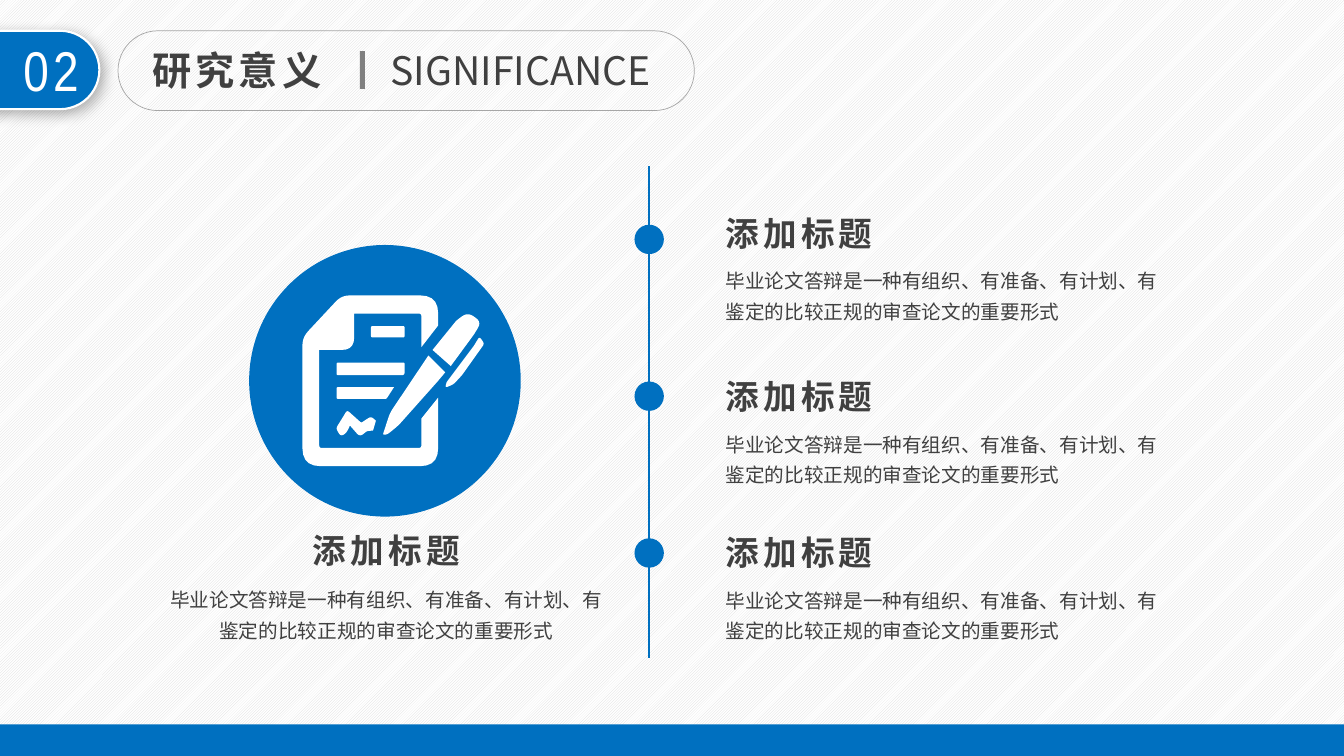
from dataclasses import dataclass

from lxml import etree
from pptx import Presentation
from pptx.dml.color import RGBColor as RGB
from pptx.enum.dml import MSO_PATTERN
from pptx.enum.shapes import MSO_CONNECTOR, MSO_SHAPE as SHAPE
from pptx.enum.text import MSO_ANCHOR as ANCHOR, PP_ALIGN as ALIGN
from pptx.oxml import parse_xml
from pptx.oxml.ns import nsdecls, qn
from pptx.util import Pt


@dataclass(frozen=True)
class Theme:
    blue: RGB = RGB(0x00, 0x70, 0xC0)
    white: RGB = RGB(0xFF, 0xFF, 0xFF)
    ink: RGB = RGB(0x40, 0x40, 0x40)
    bar: RGB = RGB(0x80, 0x80, 0x80)
    outline: RGB = RGB(0xA6, 0xA6, 0xA6)
    hatch: RGB = RGB(0xD9, 0xD9, 0xD9)
    cjk: str = "Noto Sans CJK SC"
    latin: str = "Arial"
    narrow: str = "Arial Narrow"
    number: int = 40
    title: int = 28
    heading: int = 24
    body: int = 14


T = Theme()
W, H = 960, 540
HEADING = "添加标题"
BODY = "毕业论文答辩是一种有组织、有准备、有计划、有鉴定的比较正规的审查论文的重要形式"

# Icon outlines in points: x, y and corner radius
ICON = [
    [(0, 122, 13), (97, 122, 13), (97, 73, 0), (85, 88, 0), (85, 109, 2),
     (12, 109, 2), (12, 39, 0), (37, 39, 9), (37, 13, 0), (85, 13, 2),
     (85, 37, 0), (97, 21.5, 0), (97, 0, 13), (28, 0, 6), (0, 30, 6)],
    [(49, 22, 1), (73, 22, 1), (73, 30, 1), (49, 30, 1)],
    [(24.5, 48, 1), (73, 48, 1), (73, 57, 2), (24.5, 57, 1)],
    [(24.5, 65.5, 1), (65.5, 65.5, 0), (60, 74, 1), (24.5, 74, 1)],
    [(32, 82, 2), (42, 91, 1), (49, 86.5, 2), (52.5, 89.5, 0), (50.5, 96.5, 0),
     (46, 97, 1), (41, 101, 3), (34, 93, 0), (31.5, 98, 2), (27.5, 101, 3),
     (24, 95, 2)],
    [(90, 43, 0), (102, 55, 0), (97, 61, 2), (68.5, 93, 4), (60.5, 99.5, 2),
     (57.5, 99.5, 1), (62.5, 84, 4)],
    [(126.5, 29.5, 2), (130, 34.5, 2), (114, 57, 2), (108, 63.5, 2),
     (102, 66, 2), (103, 62, 1), (122.5, 36, 0)],
    [(118, 12, 5), (128, 19, 5), (122.5, 28, 2), (106, 50.5, 0), (93, 39, 0),
     (110, 18, 2)],
]


def style(shape, fill=None, line=None, width=0.5):
    shape.shadow.inherit = False
    if fill is None:
        shape.fill.background()
    else:
        shape.fill.solid()
        shape.fill.fore_color.rgb = fill
    if line is None:
        shape.line.fill.background()
    else:
        shape.line.color.rgb = line
        shape.line.width = Pt(width)
    return shape


def add_box(s, kind, x, y, w, h, **look):
    sp = s.shapes.add_shape(kind, Pt(x), Pt(y), Pt(w), Pt(h))
    if kind == SHAPE.ROUNDED_RECTANGLE:
        sp.adjustments[0] = 0.5
    return style(sp, **look)


def add_dot(s, cx, cy, d):
    return add_box(s, SHAPE.OVAL, cx - d / 2, cy - d / 2, d, d, fill=T.blue)


def write(sp, text, size, font=T.cjk, color=T.ink, bold=False, spacing=0,
          align=ALIGN.LEFT, leading=None, wrap=False):
    tf = sp.text_frame
    tf.word_wrap = wrap
    tf.vertical_anchor = ANCHOR.TOP
    p = tf.paragraphs[0]
    p.alignment = align
    if leading:
        p.line_spacing = leading
    r = p.add_run()
    r.text = text
    r.font.size, r.font.name, r.font.bold = Pt(size), font, bold
    r.font.color.rgb = color
    rPr = r.font._element
    if spacing:
        rPr.set("spc", str(spacing * 100))
    etree.SubElement(rPr, qn("a:ea")).set("typeface", T.cjk)


def add_text(s, x, y, w, h, text, size, **look):
    write(s.shapes.add_textbox(Pt(x), Pt(y), Pt(w), Pt(h)), text, size, **look)


def add_shadow(sp):
    effects = sp._element.spPr.find(qn("a:effectLst"))
    effects.append(parse_xml(
        f'<a:outerShdw {nsdecls("a")} blurRad="{Pt(10)}" dist="{Pt(4)}" dir="2700000">'
        '<a:srgbClr val="000000"><a:alpha val="30000"/></a:srgbClr></a:outerShdw>'))


def header(s, x, y, h):
    """Number badge running in from the left edge, then the title capsule."""
    badge = add_box(s, SHAPE.ROUNDED_RECTANGLE, x - 81, y, 152, h - 1,
                    fill=T.blue, line=T.white, width=1.5)
    add_shadow(badge)
    add_text(s, x + 1.5, y, 70, h - 1, "02", T.number, font=T.narrow,
             color=T.white, spacing=3, align=ALIGN.CENTER)
    add_box(s, SHAPE.ROUNDED_RECTANGLE, x + 84.3, y, 411.7, h, line=T.outline)
    title = s.shapes.title
    title.left, title.top, title.width, title.height = map(
        Pt, (x + 101.5, y + 7.5, 141, 41))
    write(title, "研究意义", T.title, bold=True, spacing=3)
    add_box(s, SHAPE.RECTANGLE, x + 257, y + 14.5, 3.6, 27, fill=T.bar)
    add_text(s, x + 272, y + 7.5, 211, 41, "SIGNIFICANCE", T.title)


def rounded(outline):
    """Points of a closed outline, each corner replaced by a short curve."""
    points = []
    for i, (x, y, radius) in enumerate(outline):
        if not radius:
            points.append((x, y))
            continue
        ends = []
        for nx, ny, _ in (outline[i - 1], outline[(i + 1) % len(outline)]):
            t = radius / ((nx - x) ** 2 + (ny - y) ** 2) ** 0.5
            ends.append((x + t * (nx - x), y + t * (ny - y)))
        (ax, ay), (bx, by) = ends
        for t in (0, 0.2, 0.4, 0.6, 0.8, 1):
            a, c, b = (1 - t) ** 2, 2 * t * (1 - t), t * t
            points.append((a * ax + c * x + b * bx, a * ay + c * y + b * by))
    return points


def document_icon(s, x, y):
    builder = None
    for outline in ICON:
        points = [(Pt(x + px), Pt(y + py)) for px, py in rounded(outline)]
        if builder is None:
            builder = s.shapes.build_freeform(*points[0])
        else:
            builder.move_to(*points[0])
        builder.add_line_segments(points[1:], close=True)
    style(builder.convert_to_shape(), fill=T.white)


def text_block(s, x, y, w, gap=35.3, align=ALIGN.LEFT):
    """Heading with its paragraph starting gap points lower."""
    heading_w = 124
    heading_x = x + (w - heading_w) / 2 if align == ALIGN.CENTER else x
    add_text(s, x, y + gap, w, 51, BODY, T.body, font=T.latin, align=align,
             leading=1.3, wrap=True)
    add_text(s, heading_x, y, heading_w, 36, HEADING, T.heading, bold=True,
             spacing=3, align=align)


def topic(s, x, y, w):
    """Disc with the document icon above a centred text block."""
    add_dot(s, x + w / 2 - 1, y + 97, 194)
    document_icon(s, x + 103, y + 36)
    text_block(s, x, y + 200, w, gap=36.7, align=ALIGN.CENTER)


def timeline(s, x, y, h):
    """Vertical line with three evenly spaced dots and their text blocks."""
    line = s.shapes.add_connector(MSO_CONNECTOR.STRAIGHT, Pt(x), Pt(y), Pt(x), Pt(y + h))
    line.line.color.rgb = T.blue
    line.line.width = Pt(1.5)
    etree.SubElement(line._element.spPr, qn("a:effectLst"))
    for i, text_y in enumerate((29.5, 146.2, 257.8)):
        add_dot(s, x, y + 52.2 + 112 * i, 21)
        text_block(s, x + 47.5, y + text_y, 336)


def significance_slide(prs):
    s = prs.slides.add_slide(prs.slide_layouts[5])
    fill = s.background.fill
    fill.patterned()
    fill.pattern = MSO_PATTERN.LIGHT_UPWARD_DIAGONAL
    fill.fore_color.rgb, fill.back_color.rgb = T.hatch, T.white
    header(s, 0, 22, 57)
    add_box(s, SHAPE.RECTANGLE, 0, H - 22.5, W, 22.5, fill=T.blue)
    topic(s, 113, 175, 326)
    timeline(s, 463.7, 118.8, 351.4)


def main():
    prs = Presentation()
    prs.slide_width, prs.slide_height = Pt(W), Pt(H)
    significance_slide(prs)
    prs.save("out.pptx")


if __name__ == "__main__":
    main()
